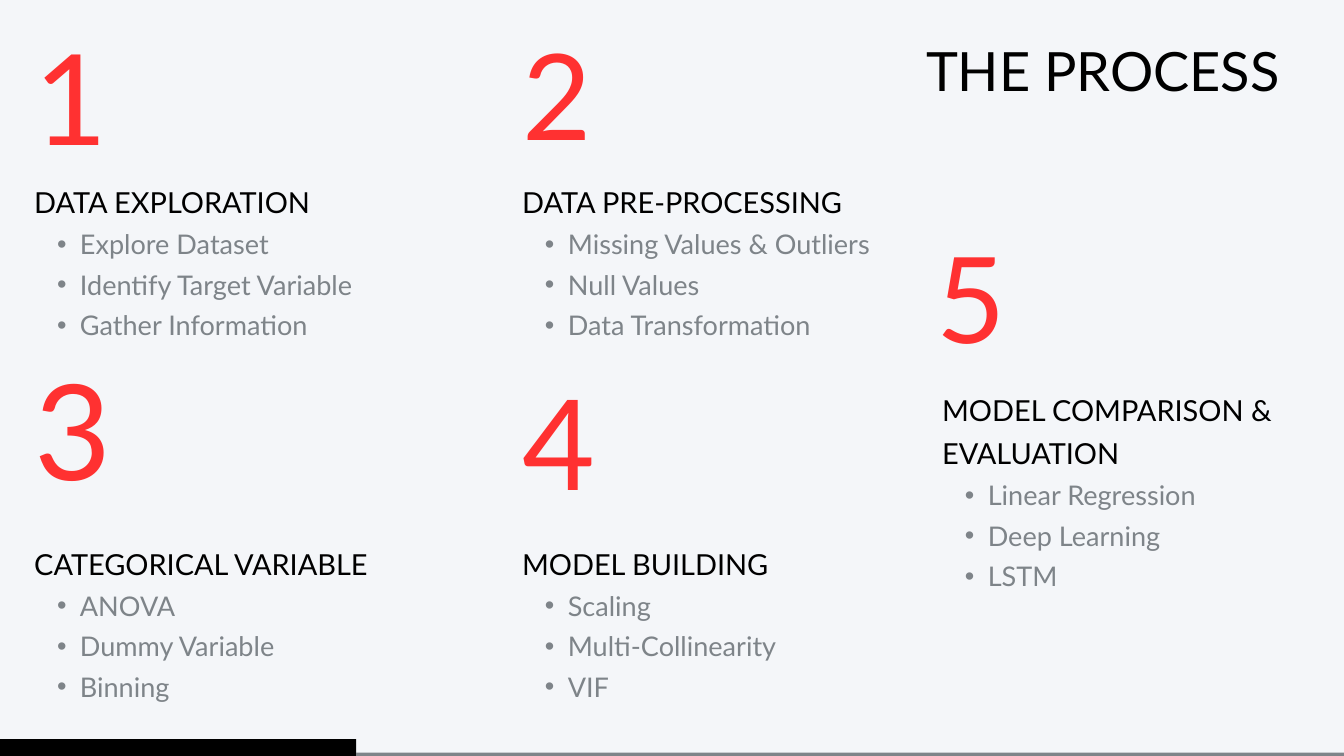
import pptx
import pptx.dml.color
import pptx.enum.shapes
import pptx.enum.text
import pptx.oxml.ns
import pptx.util
from dataclasses import dataclass
from lxml import etree

PX = 9144  # 100 px to the inch


@dataclass(frozen=True)
class Theme:
    font: str = "Lato"
    back: str = "F4F6F9"
    ink: str = "000000"
    grey: str = "7E8489"
    red: str = "FF3131"
    title: int = 58
    head: int = 31
    item: int = 29
    lead: float = 1.5
    tight: float = 1.4


class Deck:
    def __init__(self, theme, wide, high):
        self.theme = theme
        self.prs = pptx.Presentation()
        self.prs.slide_width = wide * PX
        self.prs.slide_height = high * PX
        self.slide = self.prs.slides.add_slide(self.prs.slide_layouts[6])
        self.paint(self.slide.background.fill, theme.back)

    def paint(self, fill, color):
        fill.solid()
        fill.fore_color.rgb = pptx.dml.color.RGBColor.from_string(color)

    def bar(self, x, y, w, h, color):
        kind = pptx.enum.shapes.MSO_SHAPE.RECTANGLE
        shape = self.slide.shapes.add_shape(kind, x * PX, y * PX, w * PX, h * PX)
        shape.shadow.inherit = False
        self.paint(shape.fill, color)
        shape.line.fill.background()

    def box(self, x, y, w, h):
        frame = self.slide.shapes.add_textbox(x * PX, y * PX, w * PX, h * PX).text_frame
        frame.margin_left = frame.margin_right = 0
        frame.margin_top = frame.margin_bottom = 0
        frame.word_wrap = True
        frame.auto_size = pptx.enum.text.MSO_AUTO_SIZE.SHAPE_TO_FIT_TEXT
        return frame

    def style(self, para, size, color, lead):
        para.line_spacing = pptx.util.Pt(round(size * lead, 1))
        for run in para.runs:
            run.font.name = self.theme.font
            run.font.size = pptx.util.Pt(size)
            self.paint(run.font.fill, color)

    def bullet(self, para):
        para.level = 1
        props = para._p.get_or_add_pPr()
        props.set("marL", str(68 * PX))
        props.set("indent", str(-34 * PX))
        face = etree.SubElement(props, pptx.oxml.ns.qn("a:buFont"))
        face.set("typeface", "Arial")
        mark = etree.SubElement(props, pptx.oxml.ns.qn("a:buChar"))
        mark.set("char", "•")

    def line(self, text, x, y, w, h, size, color, lead):
        frame = self.box(x, y, w, h)
        frame.text = text
        self.style(frame.paragraphs[0], size, color, lead)

    def list(self, head, items, x, y, w, h):
        look = self.theme
        frame = self.box(x, y, w, h)
        frame.text = "\n".join([head, *items])
        first, *rest = frame.paragraphs
        self.style(first, look.head, look.ink, look.lead)
        for para in rest:
            self.style(para, look.item, look.grey, look.lead)
            self.bullet(para)


# Each step: numeral box, numeral size, list box, heading, items
STEPS = [
    ((51, -9, 214, 281), 135.1, (51, 262, 644, 240), "DATA EXPLORATION",
     ["Explore Dataset", "Identify Target Variable", "Gather Information"]),
    ((777, -5, 183, 265), 128.1, (777, 262, 601, 240), "DATA PRE-PROCESSING",
     ["Missing Values & Outliers", "Null Values", "Data Transformation"]),
    ((51, 478, 214, 296), 142.3, (51, 800, 516, 240), "CATEGORICAL VARIABLE",
     ["ANOVA", "Dummy Variable", "Binning"]),
    ((777, 506, 183, 279), 134.7, (777, 800, 684, 240), "MODEL BUILDING",
     ["Scaling", "Multi-Collinearity", "VIF"]),
    ((1393, 297, 183, 265), 128.1, (1402, 571, 539, 304), "MODEL COMPARISON & EVALUATION",
     ["Linear Regression", "Deep Learning", "LSTM"]),
]


def main():
    look = Theme()
    deck = Deck(look, 2000, 1125)

    # Footer bars
    deck.bar(0, 1100, 530, 25, look.ink)
    deck.bar(530, 1120, 1470, 5, look.grey)

    # Numbered steps
    for num, (spot, size, area, head, items) in enumerate(STEPS, 1):
        deck.line(str(num), *spot, size, look.red, look.tight)
        deck.list(head, items, *area)

    # Title
    deck.line("THE PROCESS", 1378, 31, 539, 113, look.title, look.ink, look.lead)

    deck.prs.save("out.pptx")


if __name__ == "__main__":
    main()
